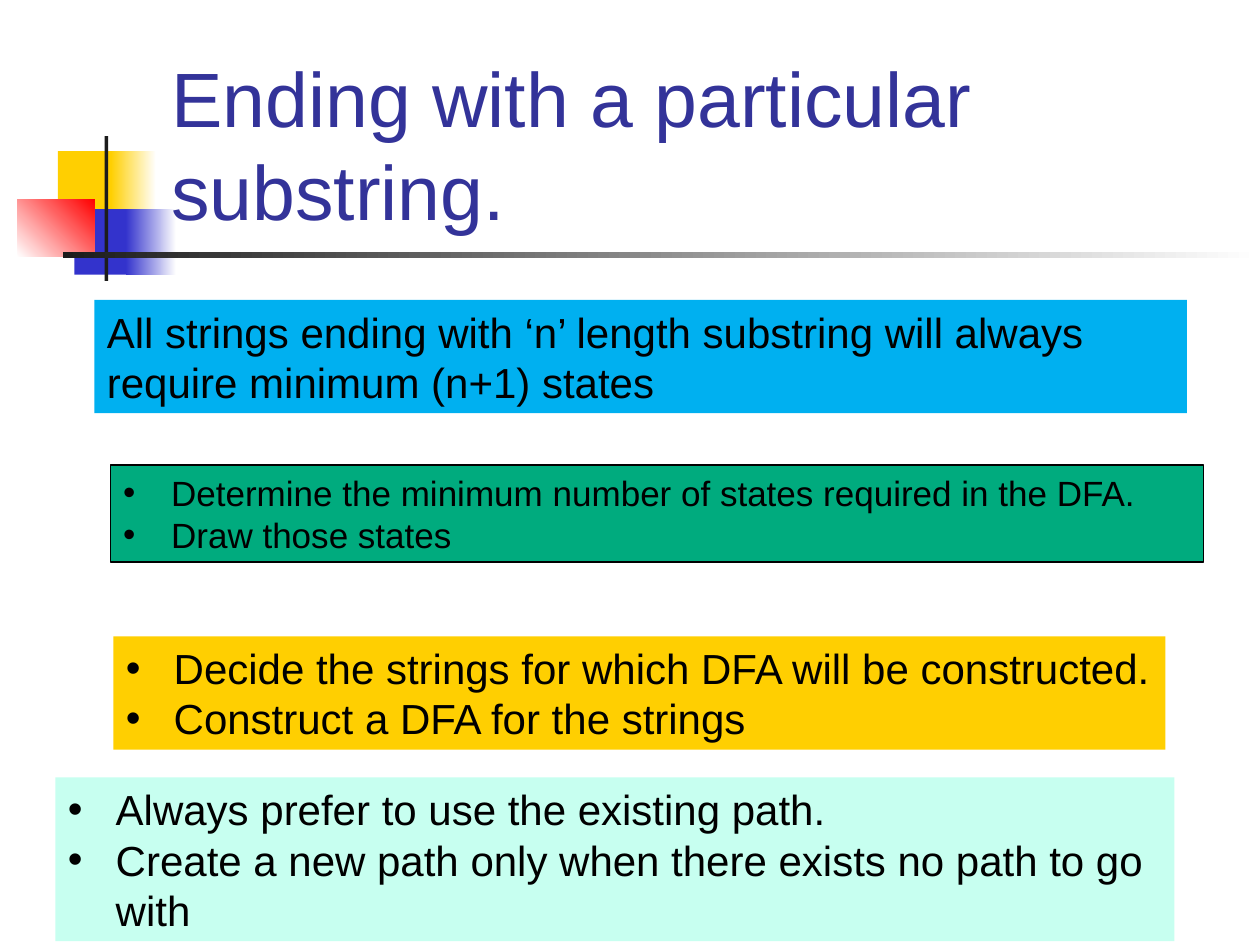
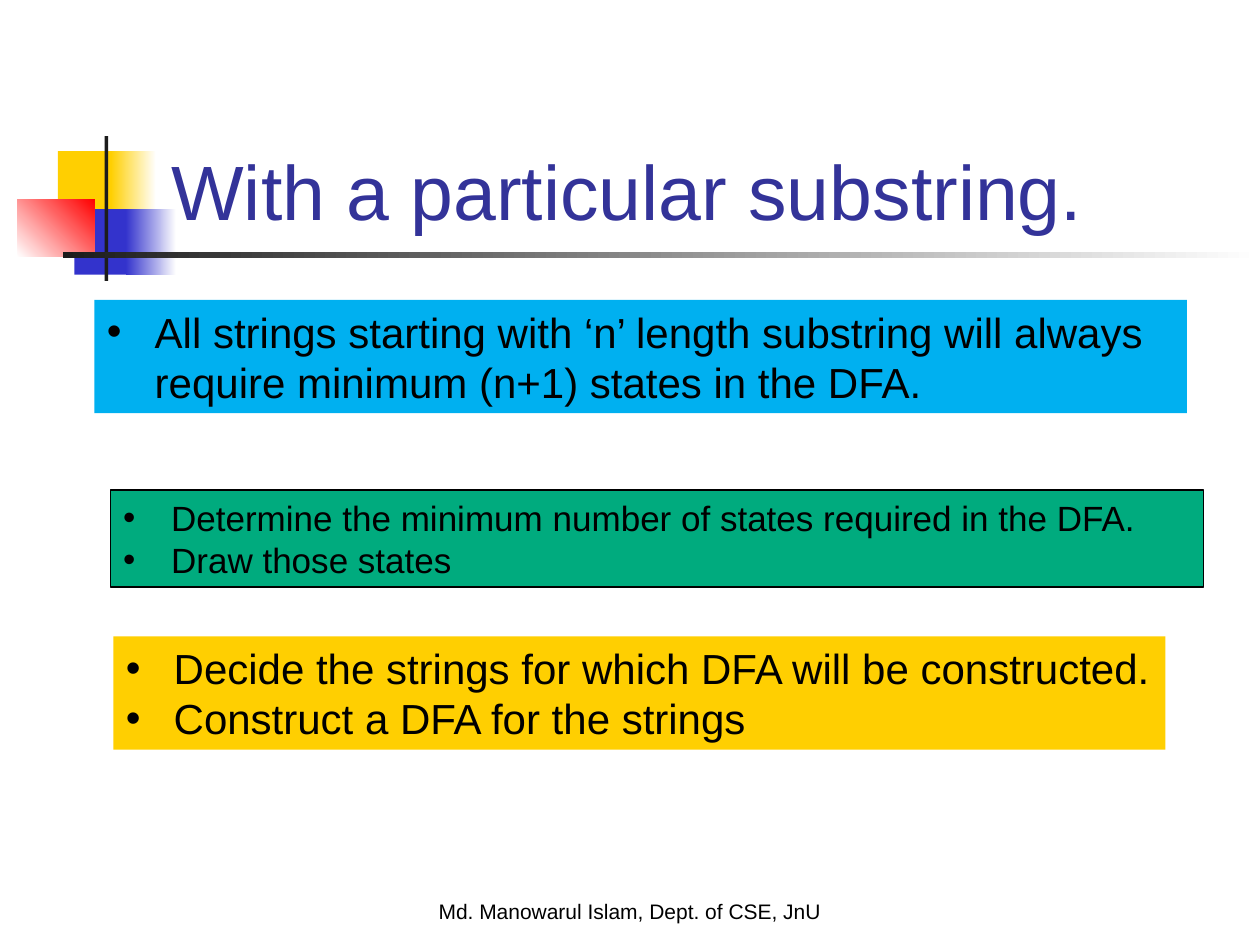
from dataclasses import dataclass

from lxml.etree import SubElement
from pptx import Presentation
from pptx.dml.color import RGBColor
from pptx.enum.shapes import MSO_SHAPE as Preset
from pptx.enum.text import MSO_ANCHOR as Anchor, MSO_AUTO_SIZE as AutoSize, PP_ALIGN as Align
from pptx.oxml.ns import qn
from pptx.util import Inches, Pt


@dataclass(frozen=True)
class Theme:
    font: str = "Arial"
    title_size: int = 44
    body_size: int = 24
    step_size: int = 20
    footer_size: int = 12
    indent: float = 0.38
    title: str = "333399"
    ink: str = "000000"
    paper: str = "FFFFFF"
    charcoal: str = "1C1C1C"
    gold: str = "FFCF01"
    indigo: str = "3333CC"
    red: str = "FF0000"
    sky: str = "00B0F0"
    green: str = "00AB7E"
    mint: str = "C7FFF0"


THEME = Theme()
FOOTER = "Md. Manowarul Islam, Dept. of CSE, JnU"
COUNT_STEPS = ["Determine the minimum number of states required in the DFA.", "Draw those states"]
STRING_STEPS = ["Decide the strings for which DFA will be constructed.", "Construct a DFA for the strings"]
PATH_RULES = [
    "Always prefer to use the existing path.",
    "Create a new path only when there exists no path to go with",
]


def rgb(value):
    return RGBColor.from_string(value)


def add_bullet(paragraph):
    properties = paragraph._p.get_or_add_pPr()
    properties.set("marL", str(Inches(THEME.indent)))
    properties.set("indent", str(-Inches(THEME.indent)))
    bullet_color = SubElement(properties, qn("a:buClr"))
    SubElement(bullet_color, qn("a:srgbClr"), val=THEME.ink)
    SubElement(properties, qn("a:buFont"), typeface=THEME.font)
    SubElement(properties, qn("a:buChar"), char="•")


def write_text(frame, lines, size=THEME.body_size, color=THEME.ink, bullets=False,
               align=Align.LEFT, anchor=Anchor.TOP, fit=AutoSize.SHAPE_TO_FIT_TEXT):
    frame.word_wrap = True
    frame.auto_size = fit
    frame.vertical_anchor = anchor
    frame.text = "\n".join(lines)
    for paragraph in frame.paragraphs:
        paragraph.alignment = align
        if bullets:
            add_bullet(paragraph)
        for run in paragraph.runs:
            run.font.name = THEME.font
            run.font.size = Pt(size)
            run.font.color.rgb = rgb(color)


def add_block(slide, place, color, fade_to=None, angle=0, outline=None):
    block = slide.shapes.add_shape(Preset.RECTANGLE, *map(Inches, place))
    block.shadow.inherit = False
    if fade_to:
        block.fill.gradient()
        block.fill.gradient_angle = angle
        for stop, stop_color in zip(block.fill.gradient_stops, (color, fade_to)):
            stop.color.rgb = rgb(stop_color)
    else:
        block.fill.solid()
        block.fill.fore_color.rgb = rgb(color)
    if outline:
        block.line.color.rgb = rgb(outline)
        block.line.width = Pt(0.75)
    else:
        block.line.fill.background()
    return block


def add_note(slide, place, color, lines, outline=None, **text_format):
    note = add_block(slide, place, color, outline=outline)
    write_text(note.text_frame, lines, **text_format)


def add_emblem(slide):
    add_block(slide, (0.46, 1.2, 0.48, 0.52), THEME.gold)
    add_block(slide, (0.88, 1.2, 0.36, 0.52), THEME.gold, fade_to=THEME.paper)
    add_block(slide, (0.59, 1.66, 0.46, 0.52), THEME.indigo)
    add_block(slide, (1, 1.66, 0.4, 0.52), THEME.indigo, fade_to=THEME.paper)
    add_block(slide, (0.14, 1.58, 0.61, 0.46), THEME.paper, fade_to=THEME.red, angle=45)
    add_block(slide, (0.83, 1.08, 0.03, 1.15), THEME.charcoal)
    add_block(slide, (0.5, 2, 9.5, 0.05), THEME.charcoal, fade_to=THEME.paper)


def add_footer(slide):
    footer = slide.shapes.add_textbox(Inches(0), Inches(7.08), Inches(10), Inches(0.3))
    write_text(footer.text_frame, [FOOTER], size=THEME.footer_size, align=Align.CENTER)


def place_title(slide, text):
    title = slide.shapes.title
    title.left, title.top, title.width, title.height = map(Inches, (1.26, 0.67, 8.52, 1.25))
    write_text(title.text_frame, [text], size=THEME.title_size, color=THEME.title,
               anchor=Anchor.BOTTOM, fit=AutoSize.NONE)
    title.element.getparent().append(title.element)


def add_rule_slide(deck, title, rule, steps_top, rule_bullet=False, footer=False):
    slide = deck.slides.add_slide(deck.slide_layouts.get_by_name("Title Only"))
    add_emblem(slide)
    if footer:
        add_footer(slide)
    place_title(slide, title)
    add_note(slide, (0.88, steps_top, 8.67, 0.77), THEME.green, COUNT_STEPS,
             outline=THEME.ink, size=THEME.step_size, bullets=True)
    add_note(slide, (0.9, 5.05, 8.35, 0.9), THEME.gold, STRING_STEPS, bullets=True)
    add_note(slide, (0.75, 2.38, 8.67, 0.9), THEME.sky, [rule], bullets=rule_bullet)
    return slide


def main():
    deck = Presentation()
    deck.slide_width, deck.slide_height = Inches(10), Inches(7.5)
    ending = add_rule_slide(
        deck, "Ending with a particular substring.",
        "All strings ending with ‘n’ length substring will always require minimum (n+1) states",
        steps_top=3.69)
    add_note(ending, (0.44, 6.17, 8.88, 1.3), THEME.mint, PATH_RULES,
             bullets=True, anchor=Anchor.MIDDLE)
    add_rule_slide(
        deck, "With a particular substring.",
        "All strings starting with ‘n’ length substring will always require minimum (n+1) states in the DFA.",
        steps_top=3.89, rule_bullet=True, footer=True)
    deck.save("out.pptx")


if __name__ == "__main__":
    main()
